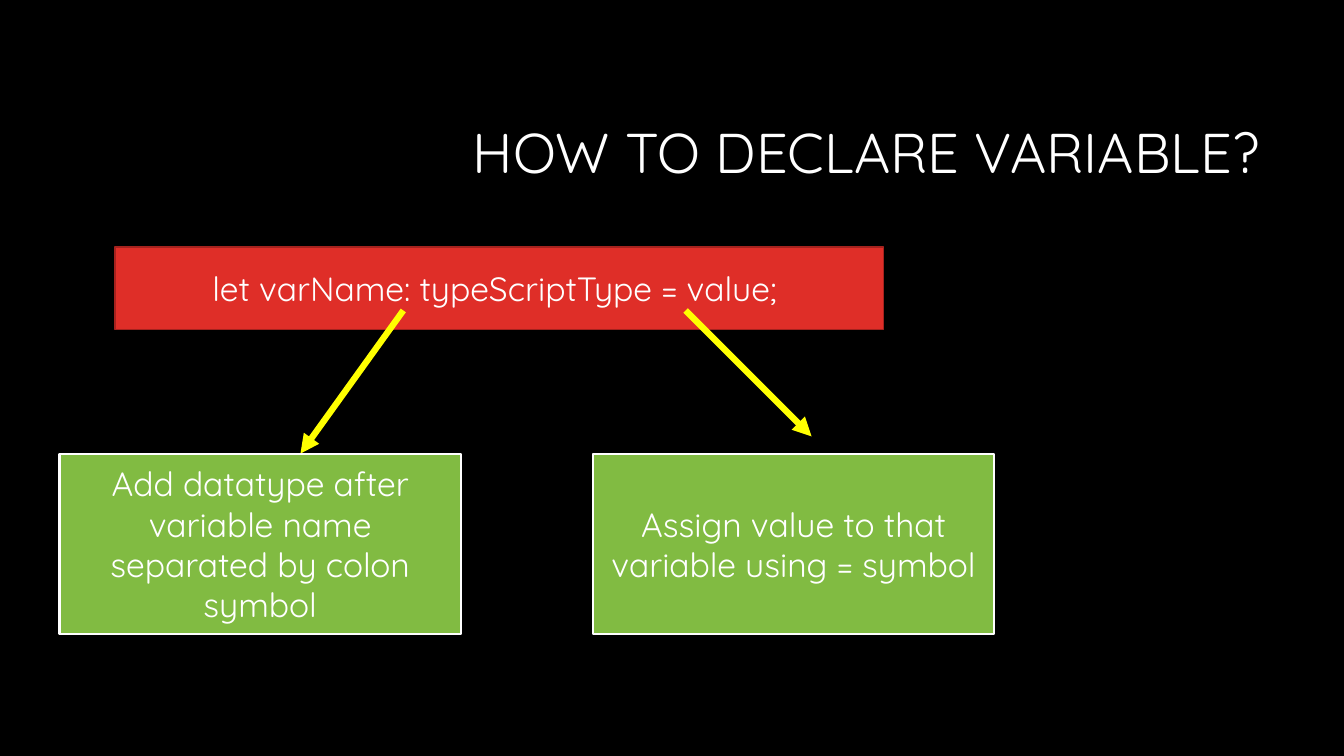
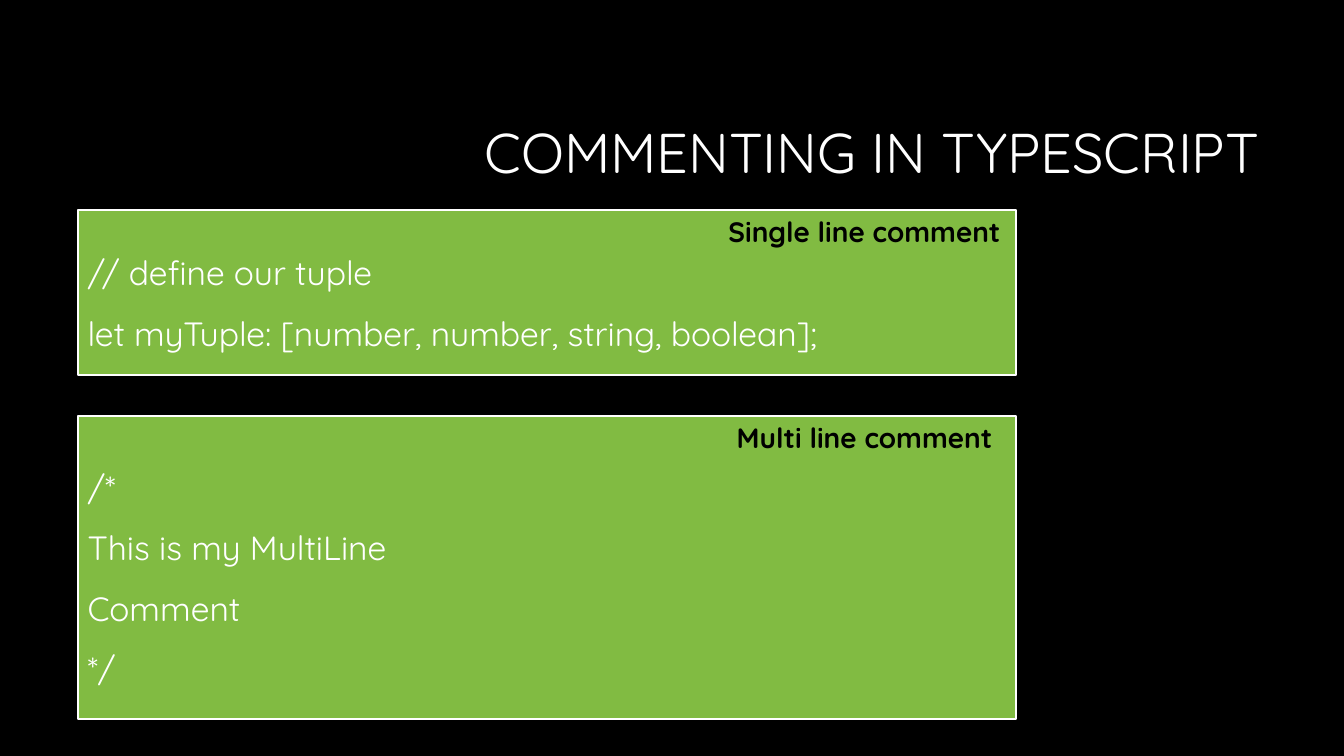
from lxml import etree
from pptx import Presentation
from pptx.dml.color import RGBColor
from pptx.enum.shapes import MSO_CONNECTOR, MSO_SHAPE
from pptx.enum.text import MSO_ANCHOR, MSO_AUTO_SIZE, PP_ALIGN
from pptx.oxml.ns import qn
from pptx.util import Inches, Pt

# Shared style
BLACK = RGBColor(0x00, 0x00, 0x00)
WHITE = RGBColor(0xFF, 0xFF, 0xFF)
RED = RGBColor(0xDF, 0x2E, 0x28)
DARK_RED = RGBColor(0xA5, 0x22, 0x1E)
GREEN = RGBColor(0x81, 0xBB, 0x42)
YELLOW = RGBColor(0xFF, 0xFF, 0x00)
FONT = "Quicksand"

LEFT, CENTER, RIGHT = PP_ALIGN.LEFT, PP_ALIGN.CENTER, PP_ALIGN.RIGHT
MIDDLE = MSO_ANCHOR.MIDDLE
NO_AUTOFIT = MSO_AUTO_SIZE.NONE
RECTANGLE = MSO_SHAPE.RECTANGLE
STRAIGHT = MSO_CONNECTOR.STRAIGHT
TITLE_ONLY = 5


def place(box, left, top, width, height):
    box.left, box.top = Inches(left), Inches(top)
    box.width, box.height = Inches(width), Inches(height)


def write(box, lines, size, color=WHITE, align=CENTER, spacing=None, bold=False):
    """Fill a shape with one paragraph per line, all in the same style."""
    frame = box.text_frame
    frame.word_wrap = True
    frame.auto_size = NO_AUTOFIT
    frame.vertical_anchor = MIDDLE
    frame.text = "\n".join(lines)
    for para in frame.paragraphs:
        para.alignment = align
        para.line_spacing = spacing
        para.font.name = FONT
        para.font.size = Pt(size)
        para.font.bold = bold
        para.font.color.rgb = color


def add_page(deck, title):
    page = deck.slides.add_slide(deck.slide_layouts[TITLE_ONLY])
    place(page.shapes.title, 3.17, 0.84, 9.42, 1.41)
    write(page.shapes.title, [title], 40, align=RIGHT, spacing=0.9)
    return page


def add_panel(page, area, lines, fill=GREEN, line=WHITE, line_width=1.5,
              align=CENTER, spacing=None):
    panel = page.shapes.add_shape(RECTANGLE, *map(Inches, area))
    panel.shadow.inherit = False
    panel.fill.solid()
    panel.fill.fore_color.rgb = fill
    panel.line.color.rgb = line
    panel.line.width = Pt(line_width)
    write(panel, lines, 24, align=align, spacing=spacing)


def add_arrow(page, start, end):
    arrow = page.shapes.add_connector(STRAIGHT, *map(Inches, start + end))
    arrow.line.color.rgb = YELLOW
    arrow.line.width = Pt(4.5)
    etree.SubElement(arrow.line._get_or_add_ln(), qn("a:tailEnd"), type="triangle")
    etree.SubElement(arrow._element.spPr, qn("a:effectLst"))


def add_code_example(page, top, height, label, lines):
    """Code panel with a bold label near its upper right corner."""
    add_panel(page, (0.77, top, 9.31, height), lines, align=LEFT, spacing=1.5)
    box = page.shapes.add_textbox(*map(Inches, (6.52, top - 0.14, 4.11, 0.7)))
    write(box, [label], 20, color=BLACK, bold=True)


def build_declaration(deck):
    page = add_page(deck, "HOW TO DECLARE VARIABLE?")
    add_panel(page, (1.14, 2.45, 7.62, 0.82),
              ["let varName: typeScriptType = value; "],
              fill=RED, line=DARK_RED, line_width=1)
    # Each explanation is pointed at from its part of the statement
    explanations = [
        (0.59, "Add datatype after variable name separated by colon symbol",
         (4, 3.08), (2.98, 4.5)),
        (5.88, "Assign value to that variable using = symbol",
         (6.8, 3.08), (8.05, 4.33)),
    ]
    for left, text, start, end in explanations:
        add_arrow(page, start, end)
        add_panel(page, (left, 4.5, 3.98, 1.79), [text])


def build_comments(deck):
    page = add_page(deck, "COMMENTING IN TYPESCRIPT")
    add_code_example(page, 2.08, 1.64, "Single line comment", [
        "// define our tuple",
        "let myTuple: [number, number, string, boolean];",
    ])
    add_code_example(page, 4.13, 3, "Multi line comment", [
        "/*", "This is my MultiLine", "Comment", "*/",
    ])


def main():
    deck = Presentation()
    deck.slide_width, deck.slide_height = Inches(13.33), Inches(7.5)
    # Black background for every slide
    backdrop = deck.slide_master.background.fill
    backdrop.solid()
    backdrop.fore_color.rgb = BLACK
    build_declaration(deck)
    build_comments(deck)
    deck.save("out.pptx")


if __name__ == "__main__":
    main()
